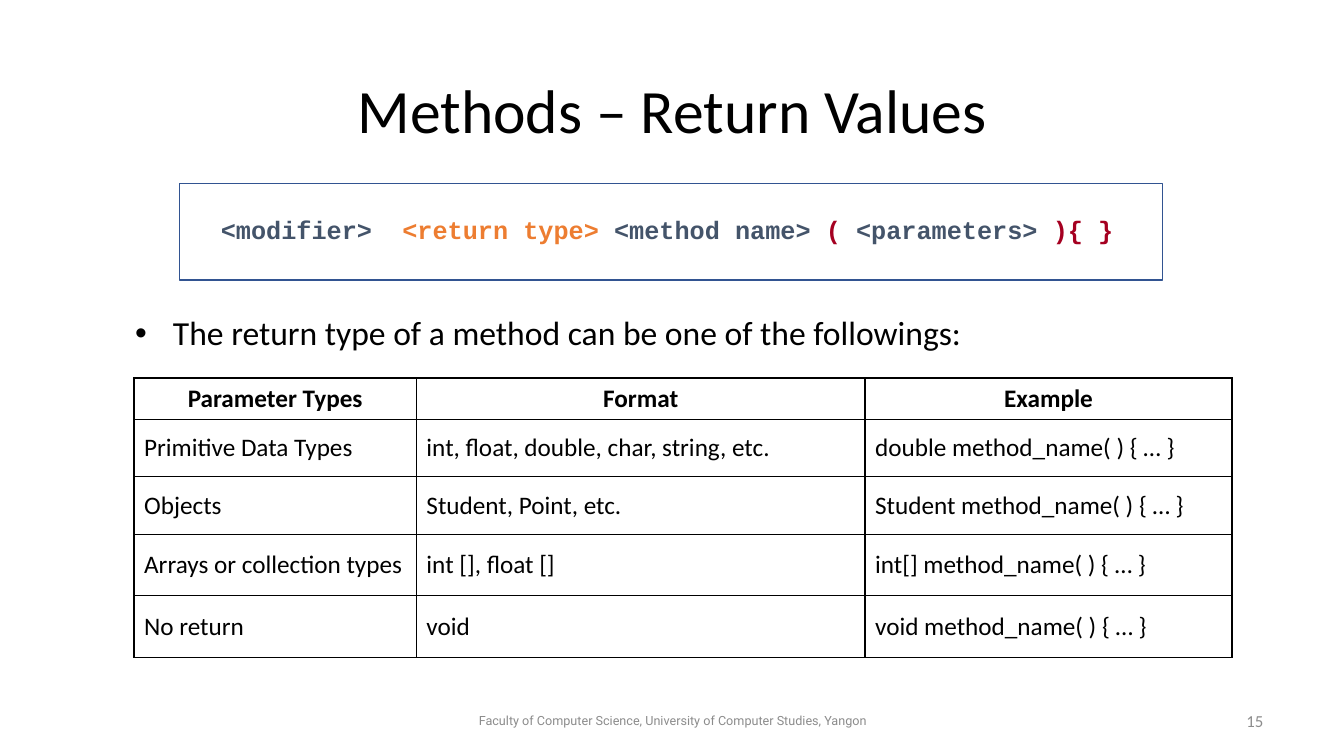
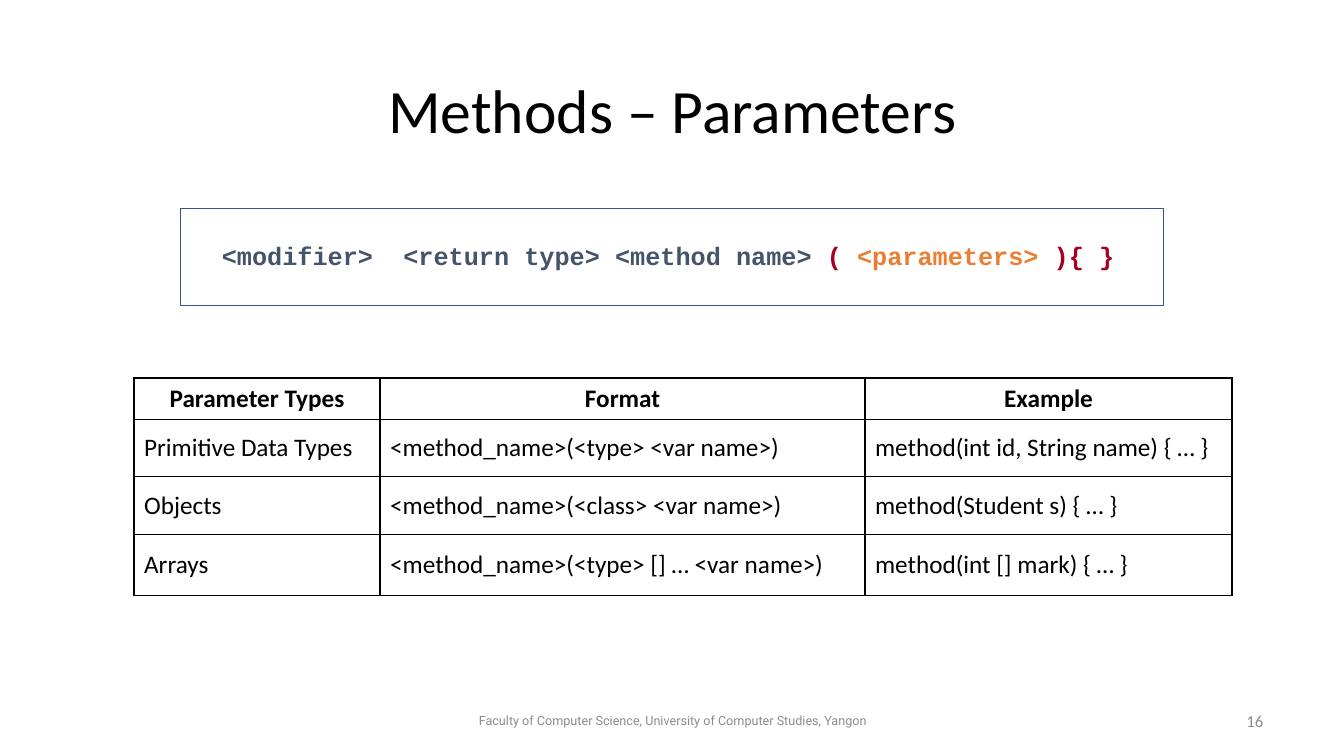
from lxml import etree
from pptx import Presentation
from pptx.dml.color import RGBColor
from pptx.enum.shapes import MSO_SHAPE
from pptx.enum.text import MSO_ANCHOR, MSO_AUTO_SIZE, PP_ALIGN
from pptx.oxml.ns import qn
from pptx.util import Inches, Pt

RECTANGLE = MSO_SHAPE.RECTANGLE
LEFT, CENTER, RIGHT = PP_ALIGN.LEFT, PP_ALIGN.CENTER, PP_ALIGN.RIGHT
JUSTIFY = PP_ALIGN.JUSTIFY
TOP, MIDDLE = MSO_ANCHOR.TOP, MSO_ANCHOR.MIDDLE
NO_AUTOFIT = MSO_AUTO_SIZE.NONE

BLACK = RGBColor(0x00, 0x00, 0x00)
GRAY = RGBColor(0x8C, 0x8C, 0x8C)
SLATE = RGBColor(0x44, 0x54, 0x6A)
ORANGE = RGBColor(0xED, 0x7D, 0x31)
RED = RGBColor(0xA5, 0x00, 0x21)
BLUE = RGBColor(0x32, 0x54, 0x91)

FONT, CODE_FONT, FOOTER_FONT = "Calibri", "Courier New", "Roboto"
TITLE_CONTENT_LAYOUT, TITLE_ONLY_LAYOUT = 1, 5
FOOTER = "Faculty of Computer Science, University of Computer Studies, Yangon"

SIGNATURE = [
    ("<modifier>  ", SLATE),
    ("<return type>", SLATE),
    (" <method name> ", SLATE),
    ("( ", RED),
    ("<parameters>", SLATE),
    (" ){ }", RED),
]
HEADER = ("Parameter Types", "Format", "Example")
RETURN_ROWS = [
    HEADER,
    ("Primitive Data Types", "int, float, double, char, string, etc.",
     "double method_name( ) { … }"),
    ("Objects", "Student, Point, etc.", "Student method_name( ) { … }"),
    ("Arrays or collection types", "int [], float []", "int[] method_name( ) { … }"),
    ("No return", "void", "void method_name( ) { … }"),
]
PARAMETER_ROWS = [
    HEADER,
    ("Primitive Data Types", "<method_name>(<type> <var name>)",
     "method(int id, String name) { … }"),
    ("Objects", "<method_name>(<class> <var name>)", "method(Student s) { … }"),
    ("Arrays", "<method_name>(<type> [] … <var name>)", "method(int [] mark) { … }"),
]
ROW_HEIGHTS = (0.41, 0.57, 0.57, 0.61, 0.61)


def place(sp, left, top, width, height):
    sp.left, sp.top = Inches(left), Inches(top)
    sp.width, sp.height = Inches(width), Inches(height)


def format_run(r, size, color, font=FONT, bold=False):
    r.font.size, r.font.name, r.font.bold = Pt(size), font, bold
    r.font.color.rgb = color


def write(tf, text, size, color=BLACK, font=FONT, align=LEFT, bold=False):
    """Fill a text frame with one formatted paragraph and return it."""
    tf.text = text
    p = tf.paragraphs[0]
    p.alignment = align
    format_run(p.runs[0], size, color, font, bold)
    return p


def add_footer_text(slide, left, width, text, size, font, align):
    sp = slide.shapes.add_textbox(Inches(left), Inches(6.95), Inches(width), Inches(0.4))
    tf = sp.text_frame
    tf.word_wrap = True
    tf.vertical_anchor = MIDDLE
    write(tf, text, size, GRAY, font, align)


def add_slide(prs, layout, title, number):
    """Add a slide with the shared title style, footer and slide number."""
    slide = prs.slides.add_slide(prs.slide_layouts[layout])
    sp = slide.shapes.title
    place(sp, 0.92, 0.4, 11.5, 1.45)
    sp.text_frame.vertical_anchor = MIDDLE
    write(sp.text_frame, title, 44, align=CENTER).line_spacing = 0.9
    add_footer_text(slide, 4.42, 4.5, FOOTER, 9, FOOTER_FONT, CENTER)
    add_footer_text(slide, 9.63, 3, str(number), 12, FONT, RIGHT)
    return slide


def set_bullet(slide, text):
    sp = slide.placeholders[1]
    place(sp, 1.24, 3.09, 10.65, 0.5)
    tf = sp.text_frame
    tf.auto_size = NO_AUTOFIT
    p = write(tf, text, 24, align=JUSTIFY)
    p.line_spacing, p.space_before = 0.9, Pt(10)


def add_signature(slide, left, top, highlight):
    """Add the boxed method signature with one part in orange."""
    sp = slide.shapes.add_shape(
        RECTANGLE, Inches(left), Inches(top), Inches(9.75), Inches(0.96))
    sp.shadow.inherit = False
    sp.fill.background()
    sp.line.color.rgb, sp.line.width = BLUE, Pt(1)
    tf = sp.text_frame
    tf.word_wrap = True
    tf.vertical_anchor = MIDDLE
    tf.margin_left = Inches(0.41)
    p = tf.paragraphs[0]
    p.alignment, p.line_spacing = LEFT, 0.9
    for text, color in SIGNATURE:
        r = p.add_run()
        r.text = text
        format_run(r, 18, ORANGE if text == highlight else color, CODE_FONT, True)


def add_borders(cell):
    tc_pr = cell._tc.get_or_add_tcPr()
    for side in ("a:lnL", "a:lnR", "a:lnT", "a:lnB"):
        ln = etree.SubElement(tc_pr, qn(side), w=str(Pt(1)))
        fill = etree.SubElement(ln, qn("a:solidFill"))
        etree.SubElement(fill, qn("a:srgbClr"), val=str(BLACK))


def add_type_table(slide, rows, widths):
    heights = ROW_HEIGHTS[:len(rows)]
    table = slide.shapes.add_table(
        len(rows), len(widths), Inches(1.33), Inches(3.75),
        Inches(sum(widths)), Inches(sum(heights))).table
    table.first_row = table.horz_banding = False
    for column, width in zip(table.columns, widths):
        column.width = Inches(width)
    for i, (texts, height) in enumerate(zip(rows, heights)):
        table.rows[i].height = Inches(height)
        header = i == 0
        for j, text in enumerate(texts):
            cell = table.cell(i, j)
            add_borders(cell)
            cell.fill.background()
            cell.vertical_anchor = TOP if header else MIDDLE
            write(cell.text_frame, text, 18, align=CENTER if header else LEFT, bold=header)


def main():
    prs = Presentation()
    prs.slide_width, prs.slide_height = Inches(13.33), Inches(7.5)

    slide = add_slide(prs, TITLE_CONTENT_LAYOUT, "Methods – Return Values", 15)
    set_bullet(slide, "The return type of a method can be one of the followings:")
    add_signature(slide, 1.78, 1.82, "<return type>")
    add_type_table(slide, RETURN_ROWS, (2.8, 4.45, 3.64))

    slide = add_slide(prs, TITLE_ONLY_LAYOUT, "Methods – Parameters", 16)
    add_signature(slide, 1.79, 2.07, "<parameters>")
    add_type_table(slide, PARAMETER_ROWS, (2.44, 4.81, 3.64))

    prs.save("out.pptx")


if __name__ == "__main__":
    main()
